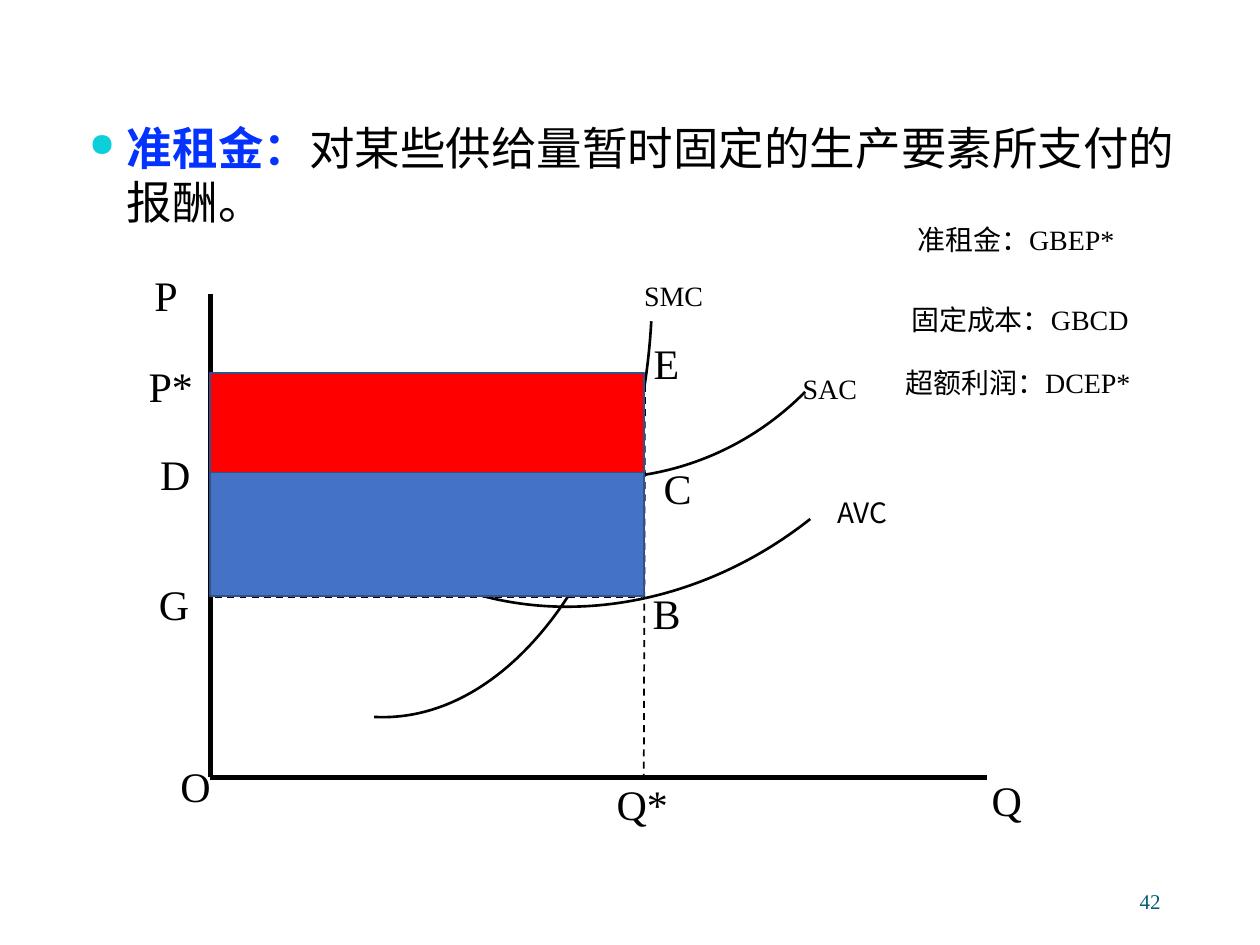
"""Build the quasi-rent slide with its cost-curve diagram."""
from typing import NamedTuple

from lxml.etree import SubElement
from pptx import Presentation
from pptx.dml.color import RGBColor
from pptx.enum.dml import MSO_LINE
from pptx.enum.shapes import MSO_CONNECTOR, MSO_SHAPE
from pptx.enum.text import MSO_ANCHOR, MSO_AUTO_SIZE, PP_ALIGN
from pptx.oxml.ns import qn
from pptx.util import Pt

COLORS = {
    "black": "000000",
    "term": "0432FF",
    "bullet": "0BD0D9",
    "number": "045C75",
    "profit": "FF0000",
    "fixed_cost": "4472C4",
    "outline": "2F528F",
}
SERIF, SANS, BODY = "Times New Roman", "Noto Sans CJK SC", "Vollkorn"
ORIGIN_X, QUANTITY_X, AXIS_END_X = 120.2, 368, 564
AXIS_TOP_Y, PRICE_Y, COST_Y, VARIABLE_Y, ORIGIN_Y = 167.8, 213, 270, 340.6, 444.2
LETTER_HEIGHT, NAME_HEIGHT = 36, 26.6


class Line(NamedTuple):
    start: tuple
    end: tuple
    format: dict


class Curve(NamedTuple):
    start: tuple
    controls: tuple


class Area(NamedTuple):
    top: float
    bottom: float
    color: str


class Label(NamedTuple):
    text: str
    left: float
    top: float
    width: float
    height: float = LETTER_HEIGHT
    size: float = 24
    font: str = SERIF
    color: str = "black"
    wrap: bool = False
    anchor: MSO_ANCHOR = MSO_ANCHOR.TOP


AXIS = {"width": Pt(3)}
GUIDE = {"width": Pt(1), "dash_style": MSO_LINE.DASH}

LINES = [
    Line((ORIGIN_X, AXIS_TOP_Y), (ORIGIN_X, ORIGIN_Y), AXIS),
    Line((ORIGIN_X, ORIGIN_Y), (AXIS_END_X, ORIGIN_Y), AXIS),
    Line((368.6, PRICE_Y), (367.9, ORIGIN_Y), GUIDE),
    Line((123, COST_Y), (369.4, COST_Y), GUIDE),
    Line((123, 341.3), (366.5, 341.3), GUIDE),
]
CURVES = [
    Curve((463, 296.6), ((373.7, 367.2), (252, 362.9), (190.8, 285.8))),
    Curve((460.1, 223.9), ((396, 288.7), (292.3, 290.2), (228.2, 226.1))),
    Curve((213.8, 409.7), ((294.5, 414), (365, 313.2), (372.2, 183.6))),
]
AREAS = [
    Area(COST_Y, VARIABLE_Y, "fixed_cost"),
    Area(PRICE_Y, COST_Y, "profit"),
]
LABELS = [
    Label("Q", 559.4, 439.2, 31.7),
    Label("SMC", 360.7, 155.5, 48.2, NAME_HEIGHT, 16),
    Label("SAC", 451.4, 208.8, 45.4, NAME_HEIGHT, 16),
    Label("AVC", 470.2, 279.4, 43.9, NAME_HEIGHT, 16, SANS),
    Label("O", 95.8, 431.3, 31.7),
    Label("Q*", 344.9, 441.4, 43.9),
    Label("P*", 69.1, 202.3, 48.2, wrap=True),
    Label("P", 60.5, 150.5, 48.2, wrap=True),
    Label("E", 366.5, 189.4, 28.8),
    Label("G", 67, 326.9, 48.2, wrap=True),
    Label("D", 67.7, 252.7, 48.2, wrap=True),
    Label("C", 372.2, 260.6, 30.2),
    Label("B", 365.8, 331.9, 30.2),
    Label("准租金：GBEP*", 511.9, 123.8, 132, NAME_HEIGHT, 16),
    Label("固定成本：GBCD", 508, 169.2, 144, NAME_HEIGHT, 16),
    Label("超额利润：DCEP*", 505, 205.2, 148.1, NAME_HEIGHT, 16),
    Label("42", 508.3, 500.4, 162, 28.8, 12, color="number",
          wrap=True, anchor=MSO_ANCHOR.MIDDLE),
]


def rgb(name: str) -> RGBColor:
    """Return the named colour."""
    return RGBColor.from_string(COLORS[name])


def apply_format(target, values: dict) -> None:
    """Set each named attribute on the target."""
    for name, value in values.items():
        setattr(target, name, value)


def add_line(slide, line: Line) -> None:
    """Draw a straight black line without a shadow."""
    points = [Pt(value) for value in line.start + line.end]
    connector = slide.shapes.add_connector(MSO_CONNECTOR.STRAIGHT, *points)
    connector.line.color.rgb = rgb("black")
    apply_format(connector.line, line.format)
    SubElement(connector._element.spPr, qn("a:effectLst"))


def add_curve(slide, curve: Curve) -> None:
    """Draw one open cubic curve."""
    start = [Pt(value) for value in curve.start]
    controls = [(Pt(x), Pt(y)) for x, y in curve.controls]
    builder = slide.shapes.build_freeform(*start)
    builder.add_line_segments(controls, close=False)
    shape = builder.convert_to_shape()
    segments = list(shape._element.iter(qn("a:lnTo")))
    cubic = SubElement(segments[0].getparent(), qn("a:cubicBezTo"))
    for segment in segments:
        cubic.append(segment[0])
        segment.getparent().remove(segment)
    shape.shadow.inherit = False
    shape.fill.background()
    shape.line.color.rgb = rgb("black")
    shape.line.width = Pt(1.5)


def add_area(slide, area: Area) -> None:
    """Draw a filled rectangle between two price levels."""
    shape = slide.shapes.add_shape(
        MSO_SHAPE.RECTANGLE, Pt(ORIGIN_X), Pt(area.top),
        Pt(QUANTITY_X - ORIGIN_X), Pt(area.bottom - area.top))
    shape.shadow.inherit = False
    shape.fill.solid()
    shape.fill.fore_color.rgb = rgb(area.color)
    shape.line.color.rgb = rgb("outline")
    shape.line.width = Pt(1)


def add_run(paragraph, text: str, color: str, east_asian: str, values: dict) -> None:
    """Add a run with its font values and colour."""
    run = paragraph.add_run()
    run.text = text
    apply_format(run.font, values)
    run.font.color.rgb = rgb(color)
    latin = run._r.get_or_add_rPr().find(qn("a:latin"))
    latin.addnext(latin.makeelement(qn("a:ea"), {"typeface": east_asian}))


def add_label(slide, label: Label) -> None:
    """Add a right-aligned label whose box fits its text."""
    shape = slide.shapes.add_textbox(
        Pt(label.left), Pt(label.top), Pt(label.width), Pt(label.height))
    apply_format(shape.text_frame, {
        "word_wrap": label.wrap, "vertical_anchor": label.anchor,
        "auto_size": MSO_AUTO_SIZE.SHAPE_TO_FIT_TEXT})
    paragraph = shape.text_frame.paragraphs[0]
    paragraph.alignment = PP_ALIGN.RIGHT
    add_run(paragraph, label.text, label.color, SANS,
            {"size": Pt(label.size), "name": label.font})


def add_definition(slide) -> None:
    """Add the bulleted definition of quasi-rent."""
    shape = slide.shapes.add_textbox(Pt(43.9), Pt(64.8), Pt(648), Pt(381))
    shape.text_frame.word_wrap = True
    paragraph = shape.text_frame.paragraphs[0]
    paragraph.space_before = Pt(6.5)
    properties = paragraph._p.get_or_add_pPr()
    properties.set("marL", str(Pt(21.6)))
    properties.set("indent", str(-Pt(21.6)))
    bullet_color = SubElement(properties, qn("a:buClr"))
    SubElement(bullet_color, qn("a:srgbClr"), val=COLORS["bullet"])
    SubElement(properties, qn("a:buSzPct"), val="72000")
    SubElement(properties, qn("a:buChar"), char="●")
    font = {"size": Pt(26), "name": BODY}
    add_run(paragraph, "准租金：", "term", BODY, font | {"bold": True})
    add_run(paragraph, "对某些供给量暂时固定的生产要素所支付的报酬。",
            "black", BODY, font | {"bold": False})


def main() -> None:
    """Build and save the presentation."""
    presentation = Presentation()
    apply_format(presentation, {"slide_width": Pt(720), "slide_height": Pt(540)})
    slide = presentation.slides.add_slide(presentation.slide_layouts[6])
    for draw, items in ((add_line, LINES), (add_curve, CURVES),
                        (add_area, AREAS), (add_label, LABELS)):
        for item in items:
            draw(slide, item)
    add_definition(slide)
    presentation.save("out.pptx")


if __name__ == "__main__":
    main()
